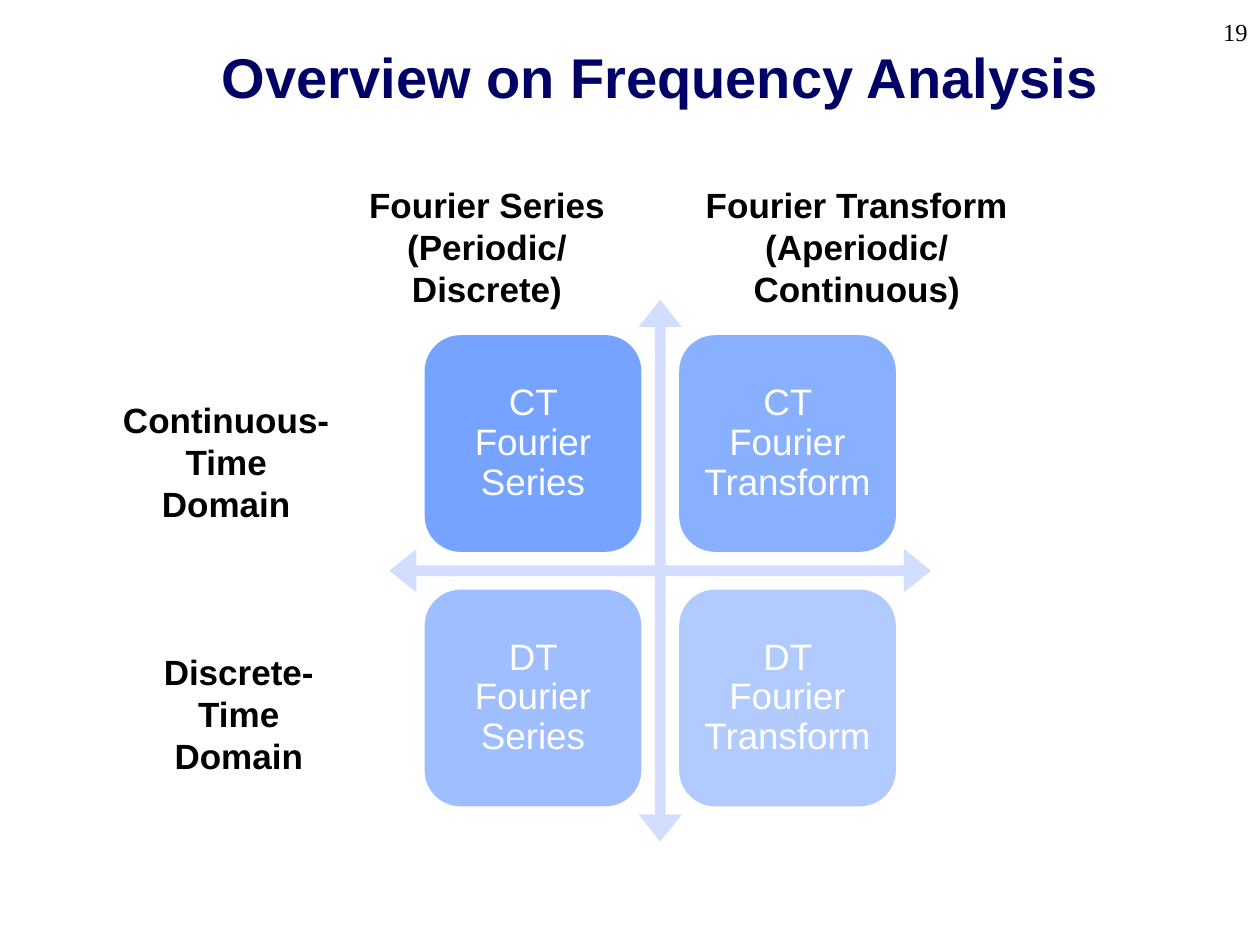
from itertools import product

from lxml.etree import SubElement
from pptx import Presentation
from pptx.dml.color import RGBColor
from pptx.enum.shapes import MSO_SHAPE
from pptx.enum.text import MSO_ANCHOR, PP_ALIGN
from pptx.oxml.ns import qn
from pptx.util import Inches, Pt

COLORS = {
    "title": "000066",
    "text": "000000",
    "cell_text": "FFFFFF",
    "cell": "6699FF",
    "arrows": "D3DEFF",
}
TITLE = {"size": Pt(32), "bold": True, "name": "Arial"}
LABEL = {"size": Pt(20), "bold": True, "name": "Arial"}
CELL = {"size": Pt(21), "bold": False, "name": "Arial"}
NUMBER = {"size": Pt(14), "bold": False, "name": "Times New Roman"}

CELL_SIZE = 1.72
CELL_STEP = 2.02
GRID_LEFT, GRID_TOP = 3.37, 2.66


class SlideBuilder:
    """Holds the current slide and adds styled elements to it."""

    def __init__(self, slide):
        self.slide = slide

    def fill_text(self, shape, lines, font, color, align=PP_ALIGN.CENTER,
                  anchor=MSO_ANCHOR.TOP, inset=None, spacing=None):
        frame = shape.text_frame
        settings = {"word_wrap": True, "vertical_anchor": anchor}
        if inset is not None:
            for side in ("left", "right", "top", "bottom"):
                settings[f"margin_{side}"] = Inches(inset)
        for name, value in settings.items():
            setattr(frame, name, value)
        for index, line in enumerate(lines):
            para = frame.add_paragraph() if index else frame.paragraphs[0]
            para.alignment = align
            if spacing:
                para.line_spacing = spacing
            span = para.add_run()
            span.text = line
            for name, value in font.items():
                setattr(span.font, name, value)
            span.font.color.rgb = RGBColor.from_string(COLORS[color])

    def title(self, text, *place):
        title = self.slide.shapes.title
        sides = ("left", "top", "width", "height")
        for name, value in zip(sides, place):
            setattr(title, name, Inches(value))
        self.fill_text(title, [text], TITLE, "title")

    def text(self, lines, place, font, **options):
        box = self.slide.shapes.add_textbox(*map(Inches, place))
        self.fill_text(box, lines, font, "text", **options)

    def shape(self, kind, place, color, opacity=100):
        """Add a filled shape without outline; opacity is in percent."""
        shape = self.slide.shapes.add_shape(kind, *map(Inches, place))
        shape.shadow.inherit = False
        shape.line.fill.background()
        shape.fill.solid()
        shape.fill.fore_color.rgb = RGBColor.from_string(COLORS[color])
        if opacity < 100:
            fill_color = shape.element.spPr.find(".//" + qn("a:srgbClr"))
            SubElement(fill_color, qn("a:alpha"), val=str(opacity * 1000))
        return shape

    def axes(self, *place):
        arrows = self.shape(MSO_SHAPE.QUAD_ARROW, place, "arrows")
        for index, value in enumerate((0.02, 0.04, 0.05)):
            arrows.adjustments[index] = value

    def cell(self, text, row, column, opacity):
        place = (GRID_LEFT + column * CELL_STEP, GRID_TOP + row * CELL_STEP,
                 CELL_SIZE, CELL_SIZE)
        cell = self.shape(MSO_SHAPE.ROUNDED_RECTANGLE, place, "cell", opacity)
        self.fill_text(cell, [text], CELL, "cell_text",
                       anchor=MSO_ANCHOR.MIDDLE, inset=0.09, spacing=0.9)


def main():
    deck = Presentation()
    deck.slide_width, deck.slide_height = Inches(10), Inches(7.5)
    page = SlideBuilder(deck.slides.add_slide(deck.slide_layouts[5]))

    page.text(["19"], (7.92, 0, 2.08, 0.5), NUMBER, align=PP_ALIGN.RIGHT,
              anchor=MSO_ANCHOR.MIDDLE)
    page.title("Overview on Frequency Analysis", 0.79, 0.29, 8.9, 0.92)

    page.axes(3.09, 2.38, 4.3, 4.3)
    domains, methods = ("CT", "DT"), ("Series", "Transform")
    opacities = (90, 77, 63, 50)
    for (row, column), opacity in zip(product(range(2), repeat=2), opacities):
        text = f"{domains[row]} Fourier {methods[column]}"
        page.cell(text, row, column, opacity)

    labels = (
        (("Continuous-Time", "Domain"), 0.7, 3.11, 2.19),
        (("Discrete-Time", "Domain"), 0.99, 5.11, 1.81),
        (("Fourier Series", "(Periodic/Discrete)"), 2.67, 1.41, 2.39),
        (("Fourier Transform", "(Aperiodic/Continuous)"), 5.33, 1.41, 2.94),
    )
    for lines, left, top, width in labels:
        page.text(lines, (left, top, width, 0.77), LABEL)

    deck.save("out.pptx")


if __name__ == "__main__":
    main()
